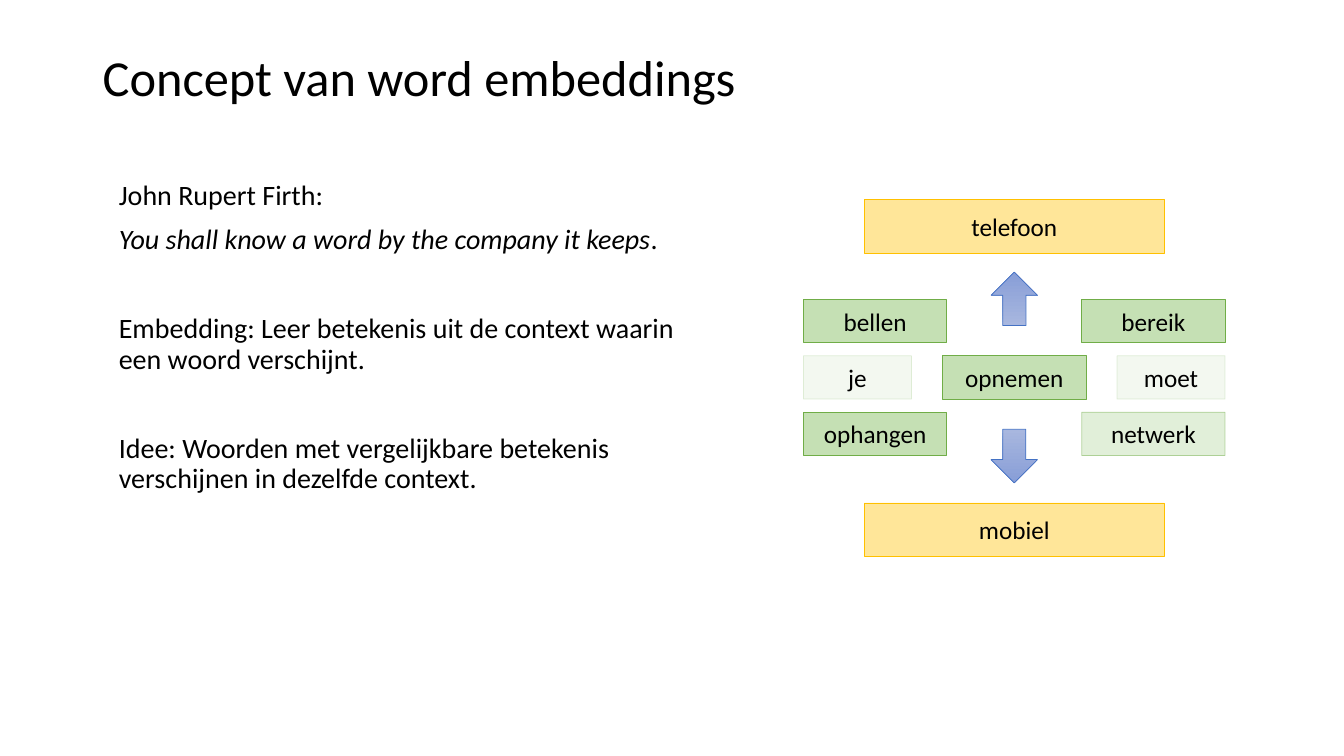
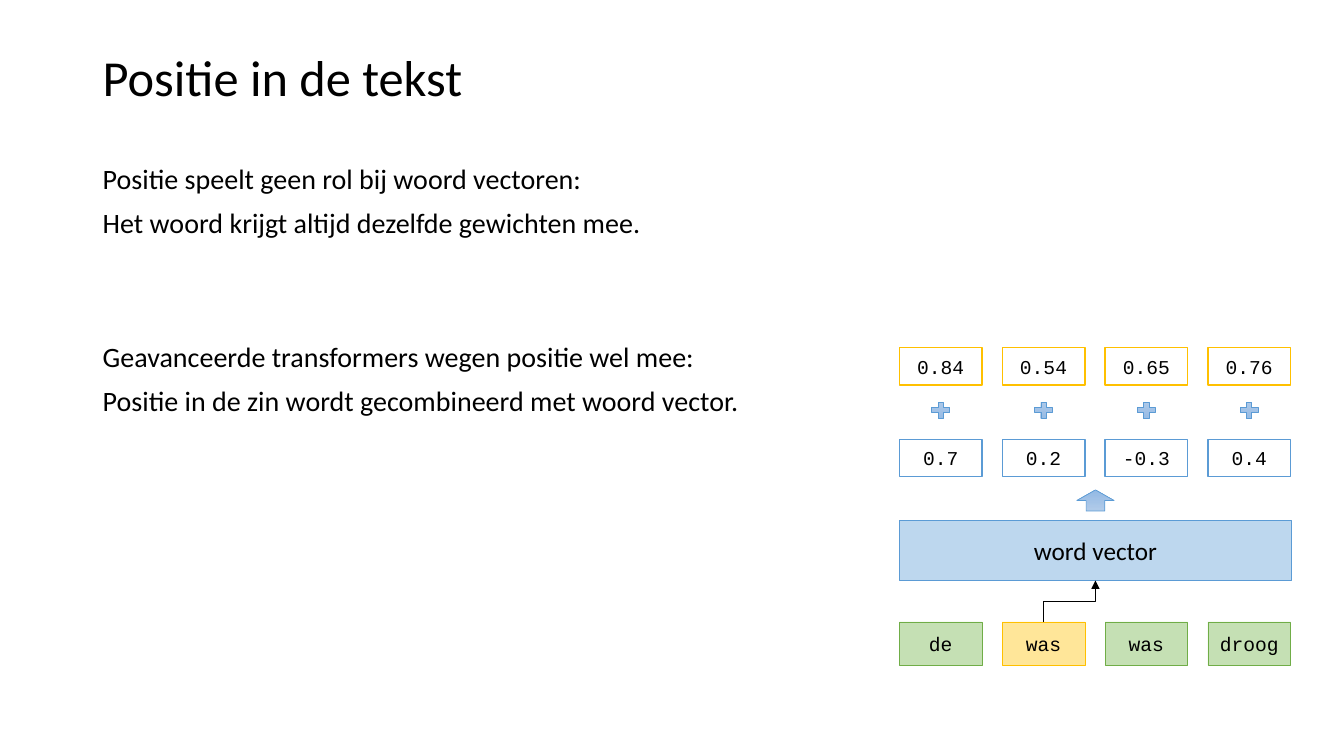
from dataclasses import dataclass

from lxml import etree
from pptx import Presentation
from pptx import util as u
from pptx.dml.color import RGBColor
from pptx.enum import shapes, text
from pptx.oxml import ns

PX = 9144


@dataclass(frozen=True)
class Theme:
    ink: str = "000000"
    paper: str = "FFFFFF"
    yellow: tuple = ("FFE699", "FFC000")
    green: tuple = ("C5E0B4", "70AD47")
    blue: tuple = ("BDD7EE", "5B9BD5")
    indigo_fade: tuple = ("A8B7DF", "889ED7", "4472C4")
    blue_fade: tuple = ("B1CBE9", "93B9E4", "5B9BD5")
    sans: str = "Calibri"
    mono: str = "Courier New"
    title_size: int = 36
    body_size: int = 20
    label_size: int = 18
    code_size: int = 14
    line_spacing: float = 0.9
    gap: int = 10
    blank_line: int = 32


THEME = Theme()


def px(*lengths):
    return [length * PX for length in lengths]


def set_font(para, size, name=THEME.sans):
    para.font.size = u.Pt(size)
    para.font.name = name
    para.font.color.rgb = RGBColor.from_string(THEME.ink)


def set_outline(shape, color, width=0.5):
    shape.line.color.rgb = RGBColor.from_string(color)
    shape.line.width = u.Pt(width)


def add_text(page, bounds, paragraphs, size, anchor=text.MSO_ANCHOR.TOP):
    frame = page.shapes.add_textbox(*px(*bounds)).text_frame
    frame.word_wrap = True
    frame.vertical_anchor = anchor
    for index, (space, spans) in enumerate(paragraphs):
        para = frame.add_paragraph() if index else frame.paragraphs[0]
        para.line_spacing = THEME.line_spacing
        para.space_before = u.Pt(space)
        set_font(para, size)
        for words, italic in spans:
            span = para.add_run()
            span.text = words
            if italic:
                span.font.italic = True


def plain(words, space=THEME.gap):
    return space, [(words, False)]


def add_page(deck, title):
    page = deck.slides.add_slide(deck.slide_layouts[6])
    add_text(page, (92, 40, 1150, 79), [plain(title, 0)],
             THEME.title_size, text.MSO_ANCHOR.MIDDLE)
    return page


def add_box(page, bounds, label, colors, size=THEME.label_size,
            font=THEME.sans, line_width=0.5, opacity=100):
    box = page.shapes.add_shape(shapes.MSO_SHAPE.RECTANGLE, *px(*bounds))
    fill, outline = colors
    box.shadow.inherit = False
    box.fill.solid()
    box.fill.fore_color.rgb = RGBColor.from_string(fill)
    set_outline(box, outline, line_width)
    if opacity < 100:
        for color in box.element.spPr.iter(ns.qn("a:srgbClr")):
            etree.SubElement(color, ns.qn("a:alpha"), val=str(opacity * 1000))
    para = box.text_frame.paragraphs[0]
    para.text = label
    para.alignment = text.PP_ALIGN.CENTER
    set_font(para, size, font)
    return box


def add_symbol(page, kind, bounds, fade, rotation=0):
    symbol = page.shapes.add_shape(kind, *px(*bounds))
    start, end, outline = fade
    symbol.shadow.inherit = False
    symbol.rotation = rotation
    symbol.fill.gradient()
    symbol.fill.gradient_angle = 270
    for stop, color in zip(symbol.fill.gradient_stops, (start, end)):
        stop.color.rgb = RGBColor.from_string(color)
    set_outline(symbol, outline)


def add_elbow_up(page, source, target):
    elbow = page.shapes.add_connector(shapes.MSO_CONNECTOR.ELBOW, 0, 0, 0, 0)
    elbow.begin_connect(source, 0)
    elbow.end_connect(target, 2)
    start_x = source.left + source.width // 2
    end_x = target.left + target.width // 2
    end_y = target.top + target.height
    run, rise = end_x - start_x, source.top - end_y
    elbow.left = (start_x + end_x - rise) // 2
    elbow.top = (source.top + end_y - run) // 2
    elbow.width, elbow.height = rise, run
    frame = elbow.element.spPr.find(ns.qn("a:xfrm"))
    for name, value in (("rot", "5400000"), ("flipH", "1"), ("flipV", "1")):
        frame.set(name, value)
    set_outline(elbow, THEME.ink, 1)
    etree.SubElement(elbow.line._get_or_add_ln(), ns.qn("a:tailEnd"), type="triangle")
    etree.SubElement(elbow.element.spPr, ns.qn("a:effectLst"))


def add_code_row(page, top, height, labels, palettes, line_width):
    return [
        add_box(page, (892 + 102 * column, top, 82, height), label, colors,
                THEME.code_size, THEME.mono, line_width)
        for column, (label, colors) in enumerate(zip(labels, palettes))
    ]


def build_concept(deck):
    page = add_page(deck, "Concept van word embeddings")
    after_blank = THEME.gap + THEME.blank_line
    add_text(page, (108, 175, 592, 518), [
        plain("John Rupert Firth:", 0),
        (THEME.gap, [("You shall know a word by the company it keeps", True),
                     (".", False)]),
        plain("Embedding: Leer betekenis uit de context waarin een woord "
              "verschijnt.", after_blank),
        plain("Idee: Woorden met vergelijkbare betekenis verschijnen in "
              "dezelfde context.", after_blank),
    ], THEME.body_size)

    for top, label in ((198, "telefoon"), (499, "mobiel")):
        add_box(page, (857, top, 298, 53), label, THEME.yellow)
    for top, rotation in ((270, 180), (426, 0)):
        add_symbol(page, shapes.MSO_SHAPE.DOWN_ARROW, (983, top, 46, 53),
                   THEME.indigo_fade, rotation)

    left, right, wide, narrow = 797, 1215, 142, 107
    context_rows = (
        ((left, wide, "bellen", 100), (right - wide, wide, "bereik", 100)),
        ((left, narrow, "je", 20), (935, wide, "opnemen", 100),
         (right - narrow, narrow, "moet", 20)),
        ((left, wide, "ophangen", 100), (right - wide, wide, "netwerk", 50)),
    )
    for row, words in enumerate(context_rows):
        for start, width, label, opacity in words:
            add_box(page, (start, 297 + 56 * row, width, 43), label,
                    THEME.green, opacity=opacity)


def build_position(deck):
    page = add_page(deck, "Positie in de tekst")
    add_text(page, (92, 159, 732, 516), [
        plain("Positie speelt geen rol bij woord vectoren:", 0),
        plain("Het woord krijgt altijd dezelfde gewichten mee."),
        plain("Geavanceerde transformers wegen positie wel mee:",
              THEME.gap + 2 * THEME.blank_line),
        plain("Positie in de zin wordt gecombineerd met woord vector."),
    ], THEME.body_size)

    words = add_code_row(
        page, 617, 43, ("de", "was", "was", "droog"),
        (THEME.green, THEME.yellow, THEME.green, THEME.green), 0.5)
    vector = add_box(page, (892, 516, 389, 60), "word vector", THEME.blue)
    add_elbow_up(page, words[1], vector)

    for top, labels, outline in (
        (436, ("0.7", "0.2", "-0.3", "0.4"), THEME.blue[1]),
        (345, ("0.84", "0.54", "0.65", "0.76"), THEME.yellow[1]),
    ):
        add_code_row(page, top, 37, labels, [(THEME.paper, outline)] * 4, 1)
    for column in range(4):
        add_symbol(page, shapes.MSO_SHAPE.MATH_PLUS,
                   (921 + 102 * column, 396, 24, 22), THEME.blue_fade)
    add_symbol(page, shapes.MSO_SHAPE.DOWN_ARROW, (1068, 486, 37, 21),
               THEME.blue_fade, 180)


def main():
    deck = Presentation()
    deck.slide_width, deck.slide_height = u.Inches(13.33), u.Inches(7.5)
    build_concept(deck)
    build_position(deck)
    deck.save("out.pptx")


if __name__ == "__main__":
    main()
